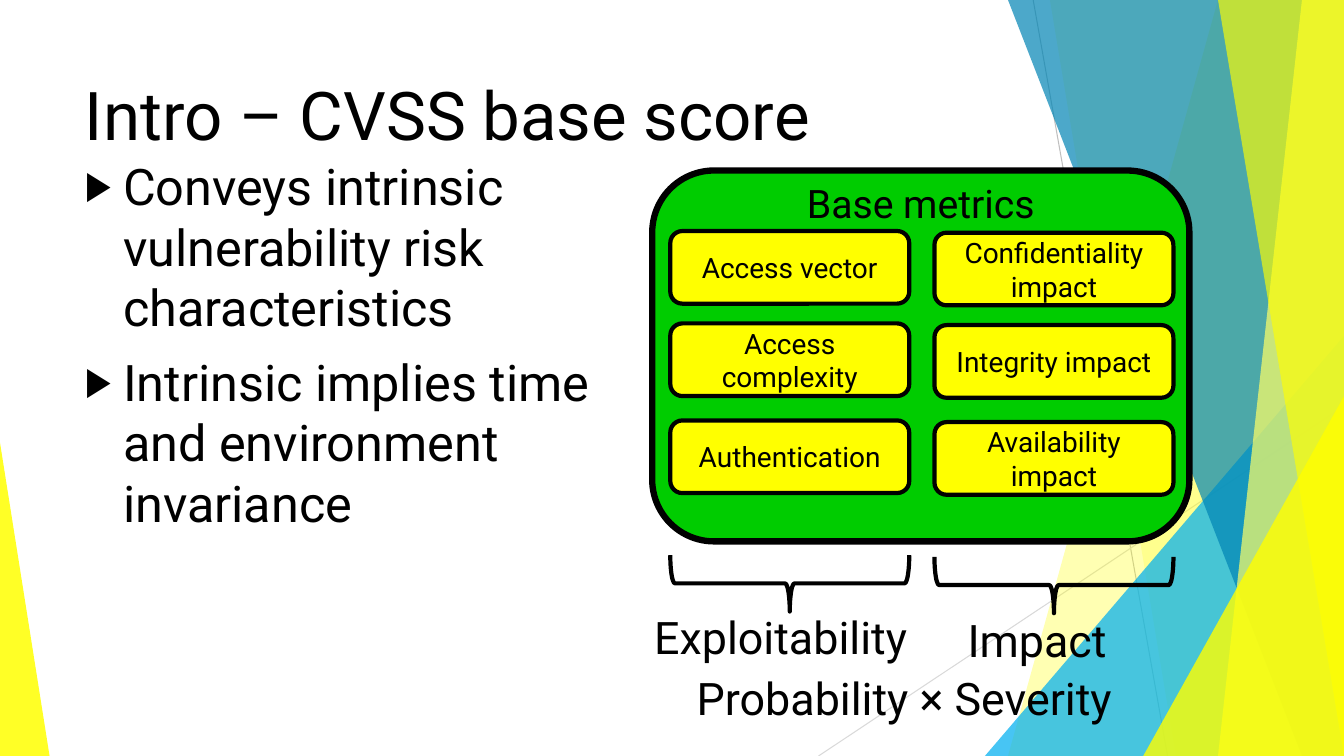
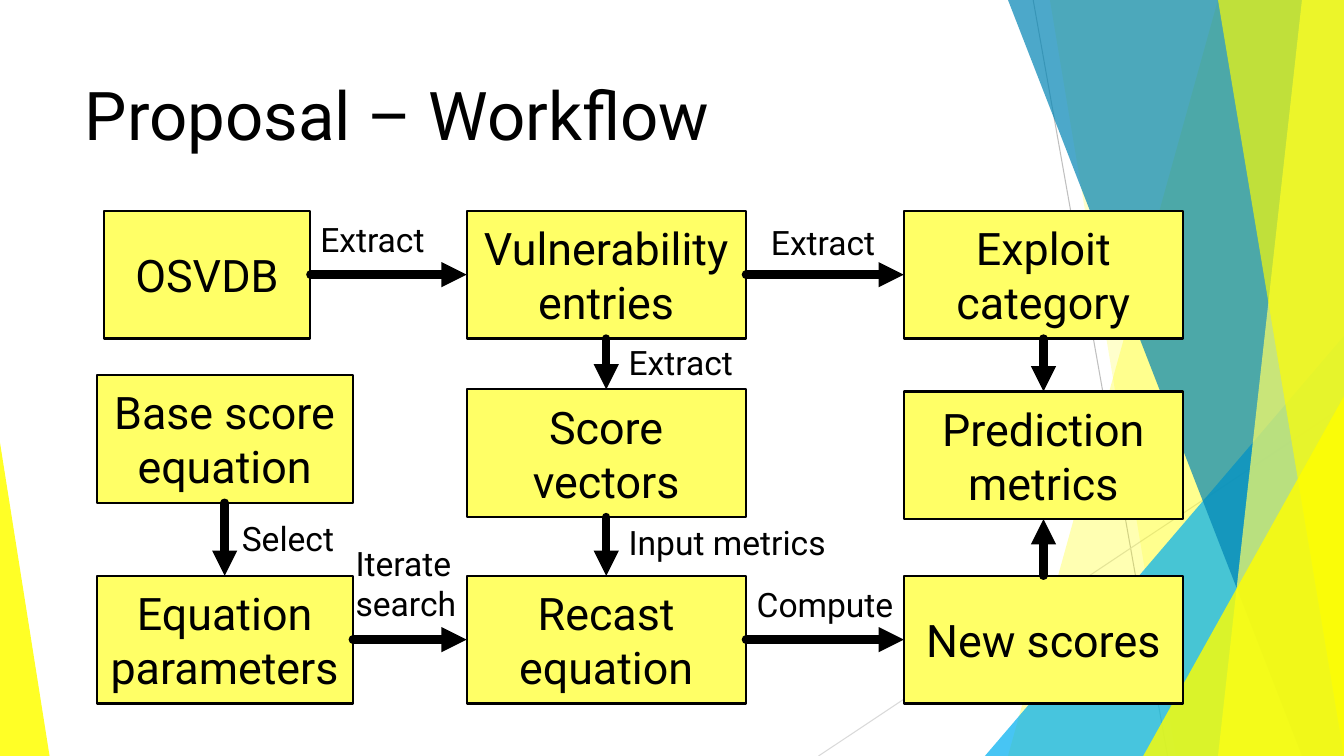
from collections import namedtuple

from lxml import etree
from pptx import Presentation
from pptx import util as u
from pptx.dml.color import RGBColor
from pptx.enum import shapes as kinds, text as styles
from pptx.oxml.ns import qn

COLUMNS, ROWS = 32, 18
UNIT = u.Inches(40 / 3) // COLUMNS
FONT = "Roboto"
BLACK = RGBColor(0x00, 0x00, 0x00)
YELLOW = RGBColor(0xFF, 0xFF, 0x00)
PALE_YELLOW = RGBColor(0xFF, 0xFF, 0x66)
GREEN = RGBColor(0x00, 0xCC, 0x00)
SKY = RGBColor(0x00, 0xB0, 0xF0)
OCEAN = RGBColor(0x00, 0x84, 0xB4)
GREY = RGBColor(0xBF, 0xBF, 0xBF)
LIGHT_GREY = RGBColor(0xD9, 0xD9, 0xD9)
LEFT, CENTER = styles.PP_ALIGN.LEFT, styles.PP_ALIGN.CENTER
TOP, MIDDLE = styles.MSO_ANCHOR.TOP, styles.MSO_ANCHOR.MIDDLE
PRESET = kinds.MSO_SHAPE
STRAIGHT = kinds.MSO_CONNECTOR.STRAIGHT
TOP_SIDE, LEFT_SIDE, BOTTOM_SIDE, RIGHT_SIDE = range(4)


class Box(namedtuple("Box", "x y w h")):
    """A region in grid columns and rows."""

    def inside(self, x, y, w, h):
        """Return a region placed from this one's top left corner."""
        return Box(self.x + x, self.y + y, w, h)

    def emu(self):
        """Return left, top, width and height as lengths."""
        return [u.Emu(round(value * UNIT)) for value in self]


TITLE_BOX = Box(1.78, 1.61, 25.42, 2.21)
LIST_BOX = Box(1.78, 3.58, 13.97, 12.26)
METRICS_BOX = Box(15.53, 4.06, 12.79, 8.83)
WORKFLOW_BOX = Box(2.3, 5.02, 25.88, 11.74)


def add_run(paragraph, words, size):
    """Add one run in the deck's type style."""
    run = paragraph.add_run()
    run.text = words
    run.font.name, run.font.size = FONT, u.Pt(size)
    run.font.color.rgb = BLACK


def write(frame, words, size, align=LEFT, anchor=TOP):
    """Write one wrapped paragraph into a text frame."""
    frame.word_wrap = True
    frame.vertical_anchor = anchor
    frame.paragraphs[0].alignment = align
    add_run(frame.paragraphs[0], words, size)


def add_label(shapes, box, words, size, align=LEFT):
    """Add a free-standing label."""
    write(shapes.add_textbox(*box.emu()).text_frame, words, size, align)


def add_outlined(shapes, preset, box, width, fill=None):
    """Add a preset shape with a black outline."""
    shape = shapes.add_shape(preset, *box.emu())
    shape.shadow.inherit = False
    shape.line.color.rgb, shape.line.width = BLACK, u.Pt(width)
    if fill is None:
        shape.fill.background()
    else:
        shape.fill.solid()
        shape.fill.fore_color.rgb = fill
    return shape


def add_line(shapes, start, end, color, width):
    """Add a straight line without a shadow."""
    points = [u.Emu(round(value * UNIT)) for value in (*start, *end)]
    line = shapes.add_connector(STRAIGHT, *points)
    line.line.color.rgb, line.line.width = color, u.Pt(width)
    etree.SubElement(line.element.find(qn("p:spPr")), qn("a:effectLst"))
    return line


def tint(shape, color, opacity):
    """Give a shape a translucent fill and no outline."""
    shape.shadow.inherit = False
    shape.line.fill.background()
    shape.fill.solid()
    shape.fill.fore_color.rgb = color
    shade = next(shape.element.iter(qn("a:srgbClr")))
    etree.SubElement(shade, qn("a:alpha")).set("val", str(opacity * 1000))


def add_band(shapes, top_x, bottom_x, color, opacity):
    """Fill from a slanted edge to the right side of the slide."""
    outline = shapes.build_freeform(top_x, 0, scale=UNIT)
    outline.add_line_segments([(COLUMNS, 0), (COLUMNS, ROWS), (bottom_x, ROWS)])
    tint(outline.convert_to_shape(), color, opacity)


def add_corner(shapes, x, y, width, apex, color, opacity):
    """Add a triangle standing on the bottom edge."""
    box = Box(x, y, width, ROWS - y)
    corner = shapes.add_shape(PRESET.ISOSCELES_TRIANGLE, *box.emu())
    corner.adjustments[0] = apex
    tint(corner, color, opacity)


def build_backdrop(slide, master):
    """Draw the shared facets and move them to the master."""
    facets = slide.shapes.add_group_shape()
    shapes = facets.shapes
    add_line(shapes, (24.6, 0), (27.8, ROWS), GREY, 0.75)
    add_line(shapes, (COLUMNS, 9.67), (19.49, ROWS), LIGHT_GREY, 0.75)
    add_band(shapes, 29.47, 24.1, YELLOW, 30)
    add_band(shapes, 25.2, 28.39, YELLOW, 20)
    add_corner(shapes, 23.45, 8, 8.55, 1, SKY, 72)
    add_band(shapes, 24.5, 30.98, OCEAN, 70)
    add_band(shapes, 31.27, 28.61, PALE_YELLOW, 70)
    add_band(shapes, 28.7, 31.63, YELLOW, 65)
    add_corner(shapes, 27.22, 9.43, 4.78, 1, YELLOW, 80)
    add_corner(shapes, 0, 10.54, 1.18, 0, YELLOW, 85)
    master.shapes.element.insert(2, facets.element)


def place(placeholder, box):
    """Move a placeholder to a region."""
    (placeholder.left, placeholder.top,
     placeholder.width, placeholder.height) = box.emu()


def add_titled_slide(deck, layout, title):
    """Add a slide with the shared title style."""
    slide = deck.slides.add_slide(deck.slide_layouts[layout])
    place(slide.shapes.title, TITLE_BOX)
    write(slide.shapes.title.text_frame, title, 48, anchor=MIDDLE)
    return slide


def fill_list(body, box, points):
    """Fill the body placeholder with arrow bullets."""
    place(body, box)
    for index, point in enumerate(points):
        frame = body.text_frame
        paragraph = frame.add_paragraph() if index else frame.paragraphs[0]
        layout = paragraph._p.get_or_add_pPr()
        layout.set("marL", str(u.Inches(0.38)))
        layout.set("indent", str(-u.Inches(0.38)))
        color = etree.SubElement(layout, qn("a:buClr"))
        etree.SubElement(color, qn("a:srgbClr")).set("val", str(BLACK))
        etree.SubElement(layout, qn("a:buSzPct")).set("val", "80000")
        etree.SubElement(layout, qn("a:buChar")).set("char", "▶")
        paragraph.space_before = u.Pt(10 if index else 0)
        add_run(paragraph, point, 36)


def add_brace(shapes, box):
    """Add a brace that opens upwards across a region."""
    upright = box.inside((box.w - box.h) / 2, (box.h - box.w) / 2, box.h, box.w)
    add_outlined(shapes, PRESET.LEFT_BRACE, upright, 3).rotation = 270


def build_metrics(slide, box):
    """Draw the base metrics panel with its two braced columns."""
    shapes = slide.shapes.add_group_shape().shapes
    add_outlined(shapes, PRESET.ROUNDED_RECTANGLE, box, 4.5, GREEN)
    add_label(shapes, box.inside(0, 0.1, box.w, 1.37), "Base metrics", 28, CENTER)
    metric_columns = (
        (0.43, 0, ("Access vector", "Access complexity", "Authentication")),
        (6.72, 0.04, ("Confidentiality impact", "Integrity impact",
                      "Availability impact")),
    )
    for x, drop, metrics in metric_columns:
        for y, metric in zip((1.44, 3.64, 5.95), metrics):
            cell = add_outlined(shapes, PRESET.ROUNDED_RECTANGLE,
                                box.inside(x, y + drop, 5.69, 1.73), 3, YELLOW)
            frame = cell.text_frame
            frame.margin_top = frame.margin_bottom = 0
            write(frame, metric, 20, CENTER, MIDDLE)
        add_brace(shapes, box.inside(x, 9.16 + drop, 5.69, 1.34))
    for x, y, width, words in (
        (-0.19, 10.34, 6.9, "Exploitability"),
        (7.27, 10.42, 6.9, "Impact"),
        (0.82, 11.78, 12.6, "Probability × Severity"),
    ):
        add_label(shapes, box.inside(x, y, width, 1.53), words, 32)


def add_arrow(shapes, source, source_side, target, target_side):
    """Join two steps with a heavy arrow."""
    arrow = add_line(shapes, (0, 0), (1, 1), BLACK, 6)
    arrow.begin_connect(source, source_side)
    arrow.end_connect(target, target_side)
    stroke = next(arrow.element.iter(qn("a:ln")))
    stroke.set("cap", "rnd")
    etree.SubElement(stroke, qn("a:tailEnd")).set("type", "triangle")


def build_workflow(slide, box):
    """Draw the workflow steps, arrows and arrow labels."""
    first, second, third = (0, 6.1), (8.81, 6.65), (19.22, 6.65)
    steps = {}
    for words, (x, width), y in (
        ("OSVDB", (0.17, 4.92), 0),
        ("Base score equation", first, 3.91),
        ("Equation parameters", first, 8.69),
        ("Vulnerability entries", second, 0),
        ("Score vectors", second, 4.25),
        ("Recast equation", second, 8.69),
        ("Exploit category", third, 0),
        ("Prediction metrics", third, 4.3),
        ("New scores", third, 8.69),
    ):
        step = add_outlined(slide.shapes, PRESET.RECTANGLE,
                            box.inside(x, y, width, 3.04), 1.5, PALE_YELLOW)
        write(step.text_frame, words, 32, CENTER, MIDDLE)
        steps[words] = step

    across, down = (RIGHT_SIDE, LEFT_SIDE), (BOTTOM_SIDE, TOP_SIDE)
    up = (TOP_SIDE, BOTTOM_SIDE)
    for source, target, (leaving, entering) in (
        ("OSVDB", "Vulnerability entries", across),
        ("Vulnerability entries", "Exploit category", across),
        ("Vulnerability entries", "Score vectors", down),
        ("Base score equation", "Equation parameters", down),
        ("Equation parameters", "Recast equation", across),
        ("Score vectors", "Recast equation", down),
        ("Recast equation", "New scores", across),
        ("Exploit category", "Prediction metrics", down),
        ("New scores", "Prediction metrics", up),
    ):
        add_arrow(slide.shapes, steps[source], leaving, steps[target], entering)

    for words, x, y, width, height in (
        ("Extract", 5.09, 0.07, 3.53, 1.2),
        ("Extract", 15.82, 0.14, 3.53, 1.2),
        ("Extract", 12.43, 3, 3.53, 1.2),
        ("Select", 3.22, 7.2, 4.68, 1.2),
        ("Iterate search", 5.93, 7.78, 4.68, 2.18),
        ("Input metrics", 12.43, 7.3, 5.47, 1.2),
        ("Compute", 15.48, 8.76, 5.47, 1.2),
    ):
        add_label(slide.shapes, box.inside(x, y, width, height), words, 24)


def main():
    """Build and save the deck."""
    deck = Presentation()
    deck.slide_width, deck.slide_height = COLUMNS * UNIT, ROWS * UNIT

    score = add_titled_slide(deck, 1, "Intro – CVSS base score")
    build_backdrop(score, deck.slide_master)
    fill_list(score.placeholders[1], LIST_BOX, (
        "Conveys intrinsic vulnerability risk characteristics",
        "Intrinsic implies time and environment invariance",
    ))
    build_metrics(score, METRICS_BOX)

    workflow = add_titled_slide(deck, 5, "Proposal – Workflow")
    build_workflow(workflow, WORKFLOW_BOX)
    deck.save("out.pptx")


if __name__ == "__main__":
    main()
